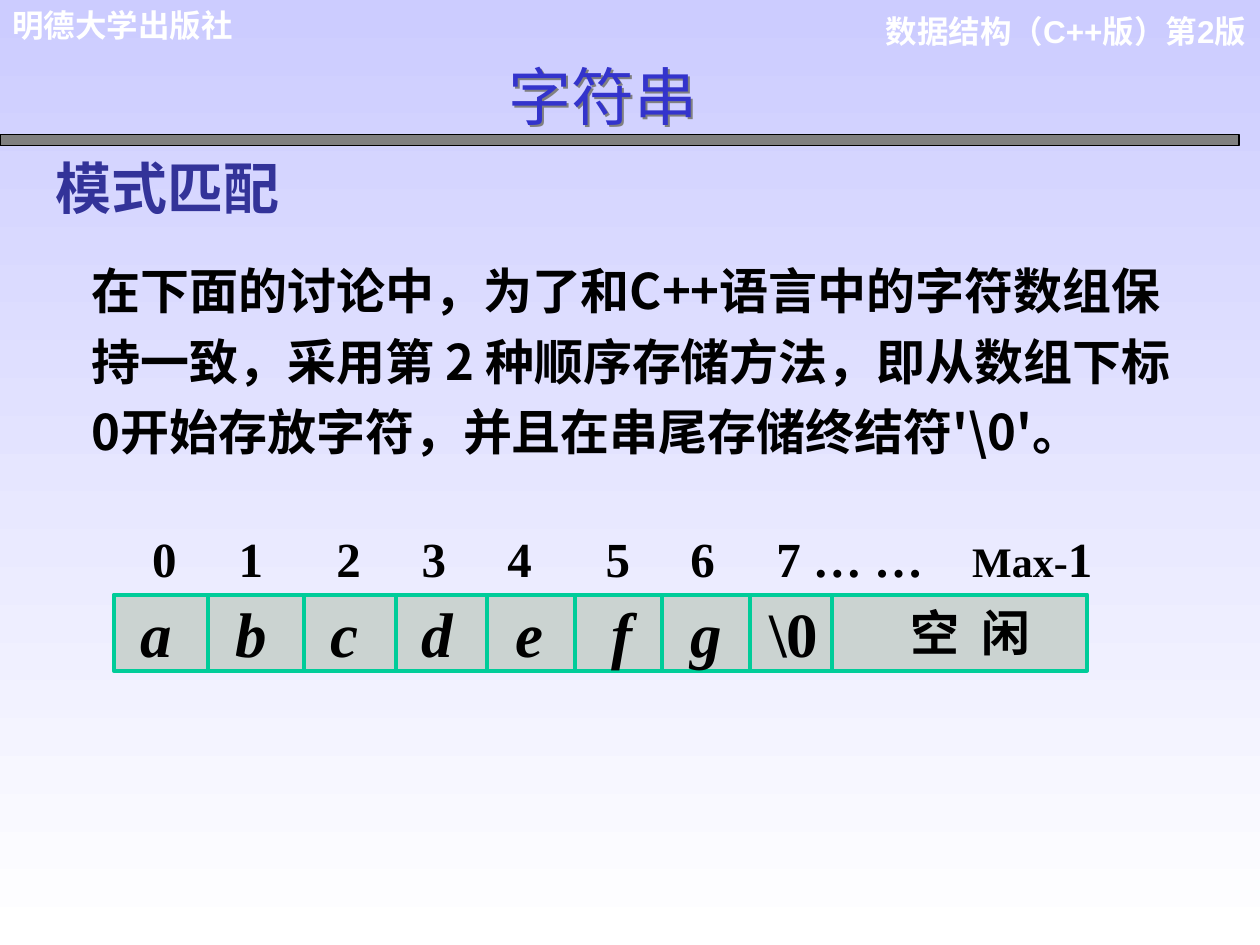
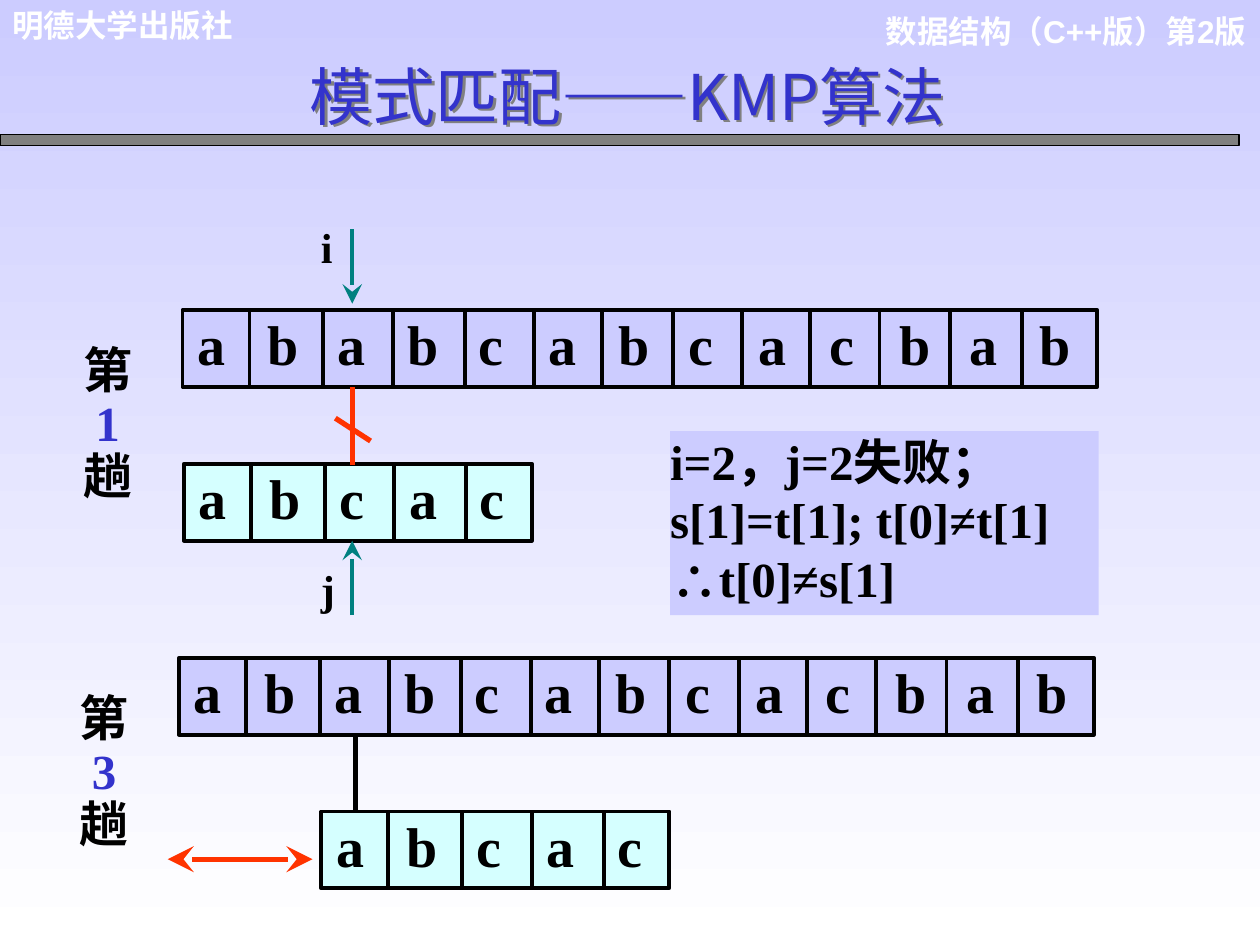
"""Builds two lecture slides on string storage and KMP pattern matching."""
from lxml import etree
from pptx import Presentation
from pptx.dml.color import RGBColor
from pptx.enum.shapes import MSO_CONNECTOR, MSO_SHAPE
from pptx.enum.text import MSO_ANCHOR, PP_ALIGN
from pptx.oxml.ns import qn
from pptx.util import Cm, Pt

LEFT, CENTER, RIGHT = PP_ALIGN.LEFT, PP_ALIGN.CENTER, PP_ALIGN.RIGHT
TOP, MIDDLE = MSO_ANCHOR.TOP, MSO_ANCHOR.MIDDLE
RECT, STRAIGHT = MSO_SHAPE.RECTANGLE, MSO_CONNECTOR.STRAIGHT
BLACK = RGBColor(0x00, 0x00, 0x00)
WHITE = RGBColor(0xFF, 0xFF, 0xFF)
GRAY = RGBColor(0x80, 0x80, 0x80)
BLUE = RGBColor(0x33, 0x33, 0xCC)
NAVY = RGBColor(0x33, 0x33, 0x99)
LAVENDER = RGBColor(0xCC, 0xCC, 0xFF)
AQUA = RGBColor(0xD5, 0xFF, 0xFF)
SILVER = RGBColor(0xCB, 0xD3, 0xD1)
GREEN = RGBColor(0x00, 0xCC, 0x99)
TEAL = RGBColor(0x00, 0x80, 0x80)
RED = RGBColor(0xFF, 0x33, 0x00)
SANS, SERIF, HEADER_FONT = "Noto Sans CJK SC", "Times New Roman", "Arial"


def add_box(s, x, y, w, h, text, size, color=BLACK, font=SERIF, bold=True, italic=False,
            align=LEFT, anchor=TOP, inset=(0.25, 0.13), spacing=None, tabs=(), fill=None,
            line=None, weight=2.25):
    if fill is None:
        sp = s.shapes.add_textbox(Cm(x), Cm(y), Cm(w), Cm(h))
    else:
        sp = s.shapes.add_shape(RECT, Cm(x), Cm(y), Cm(w), Cm(h))
        sp.shadow.inherit = False
        sp.fill.solid()
        sp.fill.fore_color.rgb = fill
        if line is None:
            sp.line.fill.background()
        else:
            sp.line.color.rgb = line
            sp.line.width = Pt(weight)
    tf = sp.text_frame
    tf.word_wrap = True
    tf.vertical_anchor = anchor
    tf.margin_left = tf.margin_right = Cm(inset[0])
    tf.margin_top = tf.margin_bottom = Cm(inset[1])
    tf.text = text
    for p in tf.paragraphs:
        p.alignment = align
        p.line_spacing = spacing
        if tabs:
            tab_list = etree.SubElement(p._p.get_or_add_pPr(), qn("a:tabLst"))
            for stop in tabs:
                etree.SubElement(tab_list, qn("a:tab"), pos=str(Cm(stop)), algn="l")
        for r in p.runs:
            r.font.size, r.font.name = Pt(size), font
            r.font.bold, r.font.italic = bold, italic
            r.font.color.rgb = color
            ea = etree.SubElement(r.font._element, qn("a:ea"))
            ea.set("typeface", SANS)
    return sp


def add_line(s, x1, y1, x2, y2, color, width, heads=()):
    c = s.shapes.add_connector(STRAIGHT, Cm(x1), Cm(y1), Cm(x2), Cm(y2))
    c.line.color.rgb = color
    c.line.width = Pt(width)
    for end in heads:
        etree.SubElement(c.line._get_or_add_ln(), qn("a:" + end),
                         type="stealth", w="lg", len="lg")
    etree.SubElement(c._element.spPr, qn("a:effectLst"))
    return c


prs = Presentation()
prs.slide_width, prs.slide_height = Cm(25.4), Cm(19.05)
bg = prs.slide_master.background.fill
bg.gradient()
bg.gradient_angle = 270
for stop, color, position in zip(bg.gradient_stops, (LAVENDER, WHITE), (0, 1)):
    stop.color.rgb = color
    stop.position = position

slides = []
for title, x, w in (("字符串", 7.44, 9.42), ("模式匹配——KMP算法", 2.26, 20.78)):
    s = prs.slides.add_slide(prs.slide_layouts[6])
    slides.append(s)
    add_box(s, 17.57, 0.11, 7.8, 1.78, "数据结构（C++版）第2版", 18, WHITE, HEADER_FONT, align=RIGHT)
    add_box(s, 0, 0, 6.88, 1.02, "明德大学出版社", 18, WHITE, HEADER_FONT)
    add_box(s, 0, 2.71, 24.98, 0.22, "", 10, fill=GRAY, line=BLACK, weight=0.75)
    sp = add_box(s, x, 1.03, w, 1.78, title, 36, BLUE, SANS, bold=False, align=CENTER)
    effects = etree.SubElement(sp._element.spPr, qn("a:effectLst"))
    shadow = etree.SubElement(effects, qn("a:outerShdw"), dist="25400", dir="2700000")
    etree.SubElement(shadow, qn("a:srgbClr"), val=str(GRAY))

s = slides[0]
add_box(s, 0.86, 2.97, 20.75, 1.63, "模式匹配", 32, NAVY, SANS)
add_box(s, 1.6, 4.89, 22.66, 4.52,
        "在下面的讨论中，为了和C++语言中的字符数组保持一致，采用第 2 种顺序存储方法，"
        "即从数组下标0开始存放字符，并且在串尾存储终结符'\\0'。", 28, font=SANS, spacing=1.2)
sp = add_box(s, 3.02, 10.65, 19.46, 1.19, "0\t1\t2\t3\t4\t5\t6\t7 … …\tMax-", 28, inset=(0.05, 0),
             tabs=(1.74, 3.71, 5.43, 7.16, 9.14, 10.85, 12.58, 16.53))
p = sp.text_frame.paragraphs[0]
p.runs[0].text = p.runs[0].text.removesuffix("Max-")
for part, size in (("Max-", 24), ("1", 28)):
    r = p.add_run()
    r.text = part
    r.font.size, r.font.name, r.font.bold = Pt(size), SERIF, True
    r.font.color.rgb = BLACK

array_left, array_top, array_height = 2.29, 11.99, 1.53
sp = add_box(s, array_left, array_top, 19.63, array_height, "a\tb\tc\td\te\tf\tg\t", 36,
             italic=True, anchor=MIDDLE, inset=(0.55, 0.13), fill=SILVER, line=GREEN,
             tabs=(1.91, 3.82, 5.65, 7.55, 9.48, 11.08, 12.67))
r = sp.text_frame.paragraphs[0].add_run()
r.text = "\\0"
r.font.size, r.font.name, r.font.bold = Pt(36), SERIF, True
r.font.color.rgb = BLACK
for offset in (1.91, 3.84, 5.69, 7.52, 9.3, 11.05, 12.83, 14.48):
    x = array_left + offset
    add_line(s, x, array_top, x, array_top + array_height, GREEN, 2.25)
sp = add_box(s, 17.91, 12.04, 3.3, 1.3, "空 闲", 28, align=CENTER, inset=(0.1, 0.1))
sp.text_frame.paragraphs[0].runs[0].font._element.set("spc", "300")

s = slides[1]
letter_pitch, cell_height, pattern_drop = 1.415, 1.55, 3.1
letter_tabs = [letter_pitch * i for i in range(1, 13)]
dividers = (1.35, 2.84, 4.24, 5.69, 7.09, 8.46, 9.88, 11.28, 12.65, 14.05, 15.47, 16.92)
for number, left, top, shift in ((1, 3.68, 6.25, 0.03), (3, 3.61, 13.26, 2.87)):
    for word, x, y, w, fill in (("ababcabcacbab", left, top, 18.44, LAVENDER),
                                ("abcac", left + shift, top + pattern_drop, 7.01, AQUA)):
        add_box(s, x, y, w, cell_height, "\t".join(word), 32, inset=(0.3, 0),
                tabs=letter_tabs[:len(word) - 1], fill=fill, line=BLACK)
        for offset in dividers[:len(word) - 1]:
            add_line(s, x + offset, y, x + offset, y + cell_height, BLACK, 2.25)
    sp = add_box(s, left - 2.41, top + 0.6, 1.8, 3.45, f"第\n{number}\n趟", 28,
                 align=CENTER, spacing=0.9)
    sp.text_frame.paragraphs[1].runs[0].font.color.rgb = BLUE

pointer_x = 7.1
add_line(s, pointer_x, 7.8, pointer_x, 9.37, RED, 3)
add_line(s, 6.76, 8.43, 7.47, 8.89, RED, 3)
add_line(s, 7.16, 14.83, 7.16, 16.38, BLACK, 3)
add_line(s, pointer_x, 4.62, pointer_x, 6.12, TEAL, 2.25, ["tailEnd"])
add_line(s, pointer_x, 12.4, pointer_x, 10.9, TEAL, 2.25, ["tailEnd"])
for name, y in (("i", 4.34), ("j", 11.23)):
    add_box(s, pointer_x - 0.63, y, 0.64, 1.27, name, 24, inset=(0, 0.13))
add_line(s, 3.38, 17.32, 6.3, 17.32, RED, 3, ["headEnd", "tailEnd"])
add_box(s, 13.51, 8.69, 8.64, 3.71, "i=2，j=2失败； s[1]=t[1]; t[0]≠t[1]\n∴t[0]≠s[1]", 28,
        inset=(0, 0), fill=LAVENDER)

prs.save("out.pptx")
